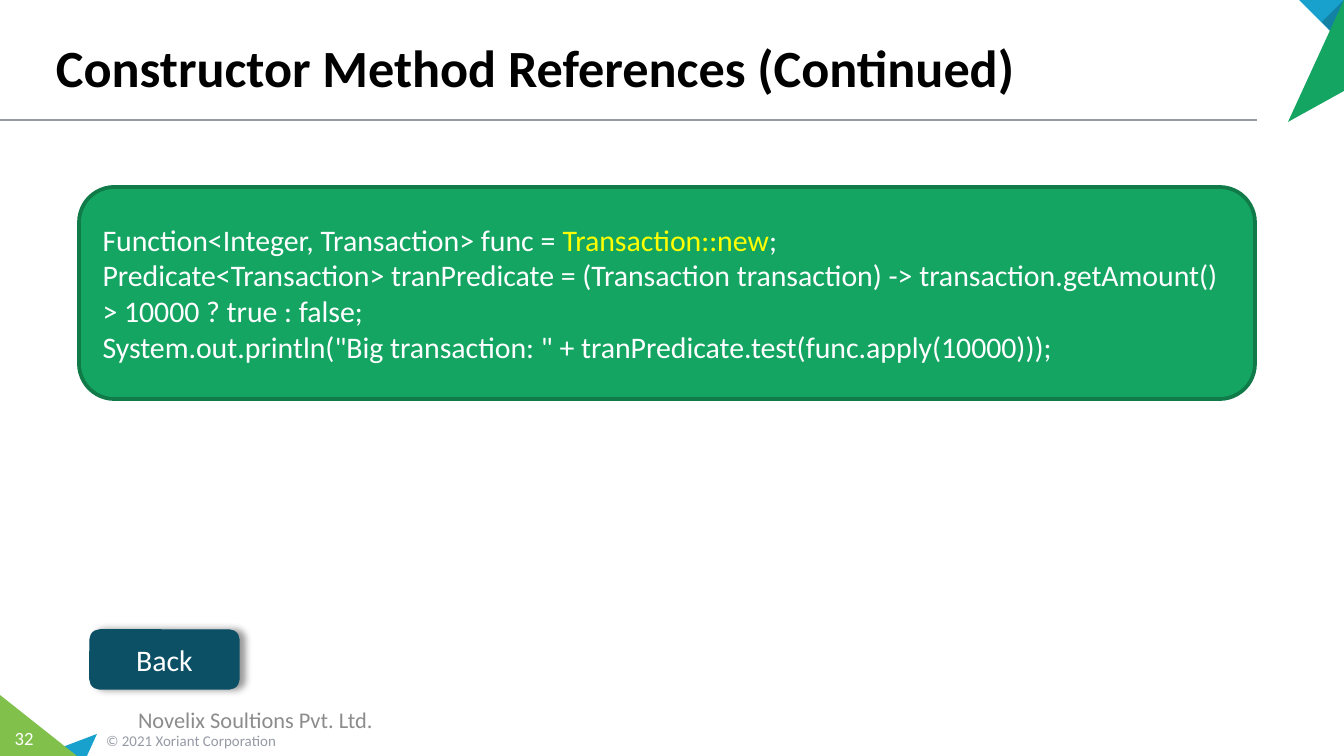
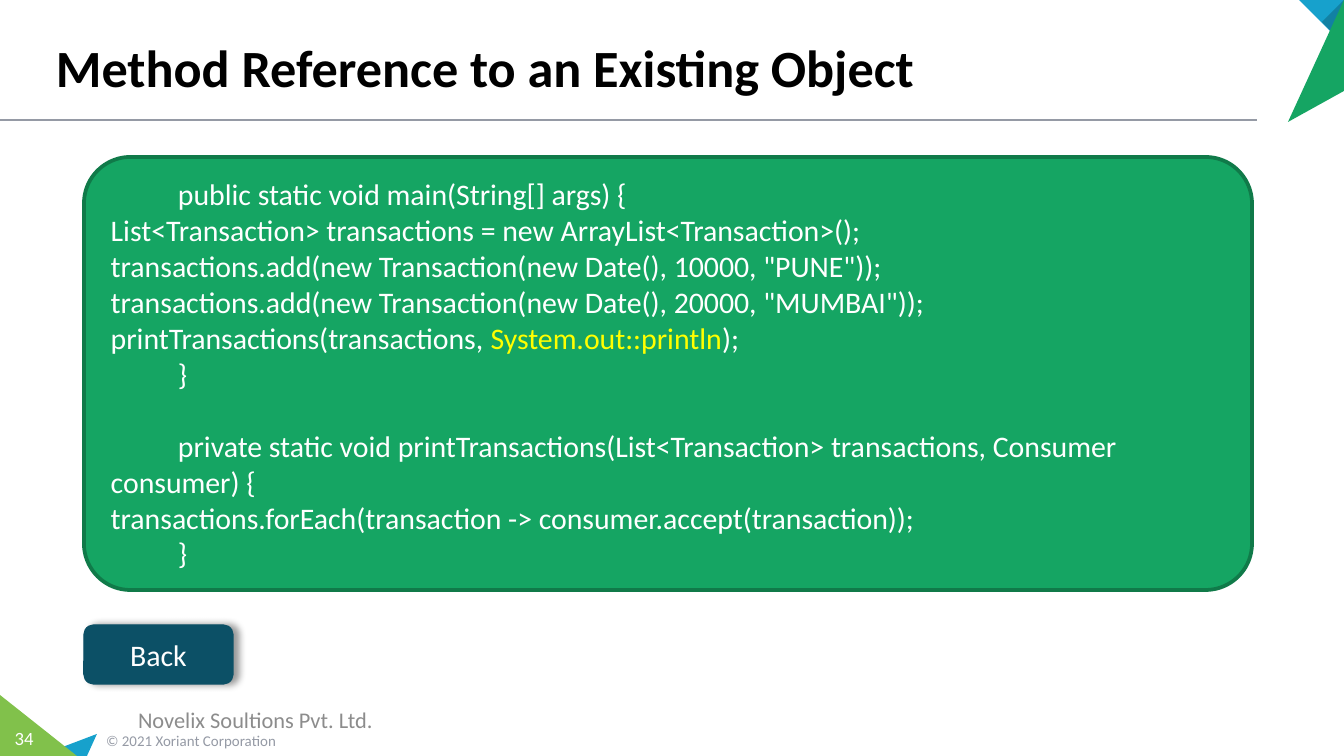
from lxml import etree
from pptx import Presentation
from pptx.dml.color import RGBColor
from pptx.enum.shapes import MSO_CONNECTOR, MSO_SHAPE
from pptx.enum.text import MSO_ANCHOR, PP_ALIGN
from pptx.oxml.ns import qn
from pptx.util import Emu, Pt

WIDTH, HEIGHT = 1344, 756
SCALE = 9144000 / WIDTH
FONT = "Calibri"

BLACK = RGBColor(0x00, 0x00, 0x00)
WHITE = RGBColor(0xFF, 0xFF, 0xFF)
YELLOW = RGBColor(0xFF, 0xFF, 0x00)
GREEN = RGBColor(0x15, 0xA5, 0x63)
DARK_GREEN = RGBColor(0x10, 0x7A, 0x49)
LIME = RGBColor(0x81, 0xC1, 0x4B)
BLUE = RGBColor(0x17, 0xA1, 0xCC)
DARK_BLUE = RGBColor(0x12, 0x81, 0xA3)
TEAL = RGBColor(0x0C, 0x50, 0x66)
GREY = RGBColor(0x95, 0x9A, 0xA5)
FOOTER_GREY = RGBColor(0x8C, 0x8C, 0x8C)

ROUND_RECT = MSO_SHAPE.ROUNDED_RECTANGLE
STRAIGHT = MSO_CONNECTOR.STRAIGHT
LEFT, CENTER = PP_ALIGN.LEFT, PP_ALIGN.CENTER
TOP, MIDDLE, BOTTOM = MSO_ANCHOR.TOP, MSO_ANCHOR.MIDDLE, MSO_ANCHOR.BOTTOM

TRIANGLES = [
    (BLUE, [(97, 734), (87, 756), (39, 756)]),
    (LIME, [(0, 695), (77, 756), (0, 756)]),
    (BLUE, [(1299, 0), (1344, 0), (1344, 45)]),
    (DARK_BLUE, [(1322, 22), (1344, 0), (1344, 45)]),
    (GREEN, [(1288, 122), (1344, 0), (1344, 91)]),
]

CONSTRUCTOR_CODE = [
    ["Function<Integer, Transaction> func = ", ("Transaction::new", YELLOW), ";"],
    ["Predicate<Transaction> tranPredicate = (Transaction transaction) -> "
     "transaction.getAmount() > 10000 ? true : false;"],
    ['System.out.println("Big transaction: " + tranPredicate.test(func.apply(10000)));'],
]
MAIN_CODE = [
    ["\tpublic static void main(String[] args) {"],
    ["List<Transaction> transactions = new ArrayList<Transaction>();"],
    ['transactions.add(new Transaction(new Date(), 10000, "PUNE"));'],
    ['transactions.add(new Transaction(new Date(), 20000, "MUMBAI"));'],
    ["printTransactions(transactions, ", ("System.out::println", YELLOW), ");"],
    ["\t}"],
]
PRINT_CODE = [
    ["\tprivate static void printTransactions(List<Transaction> transactions, "
     "Consumer consumer) {"],
    ["transactions.forEach(transaction -> consumer.accept(transaction));"],
    ["\t}"],
]


def px(*values):
    return [Emu(round(v * SCALE)) for v in values]


class Deck:
    def __init__(self):
        self.prs = Presentation()
        self.prs.slide_width, self.prs.slide_height = px(WIDTH, HEIGHT)
        self.slide = None

    def new_slide(self, title, number):
        """Start a slide with the shared decoration, title and footers."""
        self.slide = self.prs.slides.add_slide(self.prs.slide_layouts[6])
        self.rule(0, 120, 1257, 120)
        for color, points in TRIANGLES:
            self.polygon(points, color)
        self.text((93, 724, 313, 32), "© 2021 Xoriant Corporation", 8, GREY)
        self.text((0, 720, 48, 36), number, 10, WHITE, CENTER, TOP, side_inset=0)
        self.text((43, 8, 1210, 97), title, 28, BLACK, anchor=BOTTOM, bold=True)
        self.text((0, 700, 511, 40), "Novelix Soultions Pvt. Ltd.", 12,
                  FOOTER_GREY, CENTER)

    def rule(self, x1, y1, x2, y2):
        line = self.slide.shapes.add_connector(STRAIGHT, *px(x1, y1, x2, y2))
        line.line.color.rgb = GREY
        line.line.width = Pt(1)
        etree.SubElement(line._element.spPr, qn("a:effectLst"))

    def polygon(self, points, color):
        builder = self.slide.shapes.build_freeform(*points[0], scale=SCALE)
        builder.add_line_segments(points[1:], close=True)
        sp = builder.convert_to_shape()
        self.paint(sp, color)
        sp.line.fill.background()

    def paint(self, sp, color):
        sp.fill.solid()
        sp.fill.fore_color.rgb = color
        sp.shadow.inherit = False

    def fill_text(self, tf, blocks, size, color, align=LEFT, anchor=MIDDLE,
                  bold=False):
        """Fill a frame with blocks of paragraphs, one line apart."""
        tf.word_wrap = True
        tf.vertical_anchor = anchor
        p = None
        for block in blocks:
            for i, runs in enumerate(block):
                first = p is None
                p = tf.paragraphs[0] if first else tf.add_paragraph()
                p.alignment = align
                if i == 0 and not first:
                    p.space_before = Pt(size * 1.22)
                for run in runs:
                    text, run_color = (run, color) if isinstance(run, str) else run
                    r = p.add_run()
                    r.text = text
                    r.font.name = FONT
                    r.font.size = Pt(size)
                    r.font.bold = bold
                    r.font.color.rgb = run_color

    def text(self, box, text, size, color, align=LEFT, anchor=MIDDLE,
             bold=False, side_inset=13):
        tf = self.slide.shapes.add_textbox(*px(*box)).text_frame
        tf.margin_left, tf.margin_right = px(side_inset, side_inset)
        self.fill_text(tf, [[[text]]], size, color, align, anchor, bold)

    def round_box(self, box, fill, border, width, blocks, align=LEFT):
        sp = self.slide.shapes.add_shape(ROUND_RECT, *px(*box))
        self.paint(sp, fill)
        sp.line.color.rgb = border
        sp.line.width = Pt(width)
        self.fill_text(sp.text_frame, blocks, 16, WHITE, align)
        return sp

    def code(self, box, *blocks, radius=0.1667):
        sp = self.round_box(box, GREEN, DARK_GREEN, 2, blocks)
        sp.adjustments[0] = radius

    def back_button(self, x, y):
        sp = self.round_box((x, y, 149, 59), TEAL, TEAL, 0.75, [[["Back"]]], CENTER)
        effects = sp._element.spPr.find(qn("a:effectLst"))
        shadow = etree.SubElement(effects, qn("a:outerShdw"), blurRad=str(Pt(4)),
                                  dist=str(Pt(3)), dir="0", algn="l", rotWithShape="0")
        color = etree.SubElement(shadow, qn("a:srgbClr"), val=str(BLACK))
        etree.SubElement(color, qn("a:alpha"), val="40000")


def main():
    deck = Deck()

    deck.new_slide("Constructor Method References (Continued)", "32")
    deck.code((79, 187, 1176, 212), CONSTRUCTOR_CODE)
    deck.back_button(90, 630)

    deck.new_slide("Method Reference to an Existing Object", "34")
    deck.code((84, 157, 1168, 433), MAIN_CODE, PRINT_CODE, radius=0.107)
    deck.back_button(84, 625)

    deck.prs.save("out.pptx")


if __name__ == "__main__":
    main()
